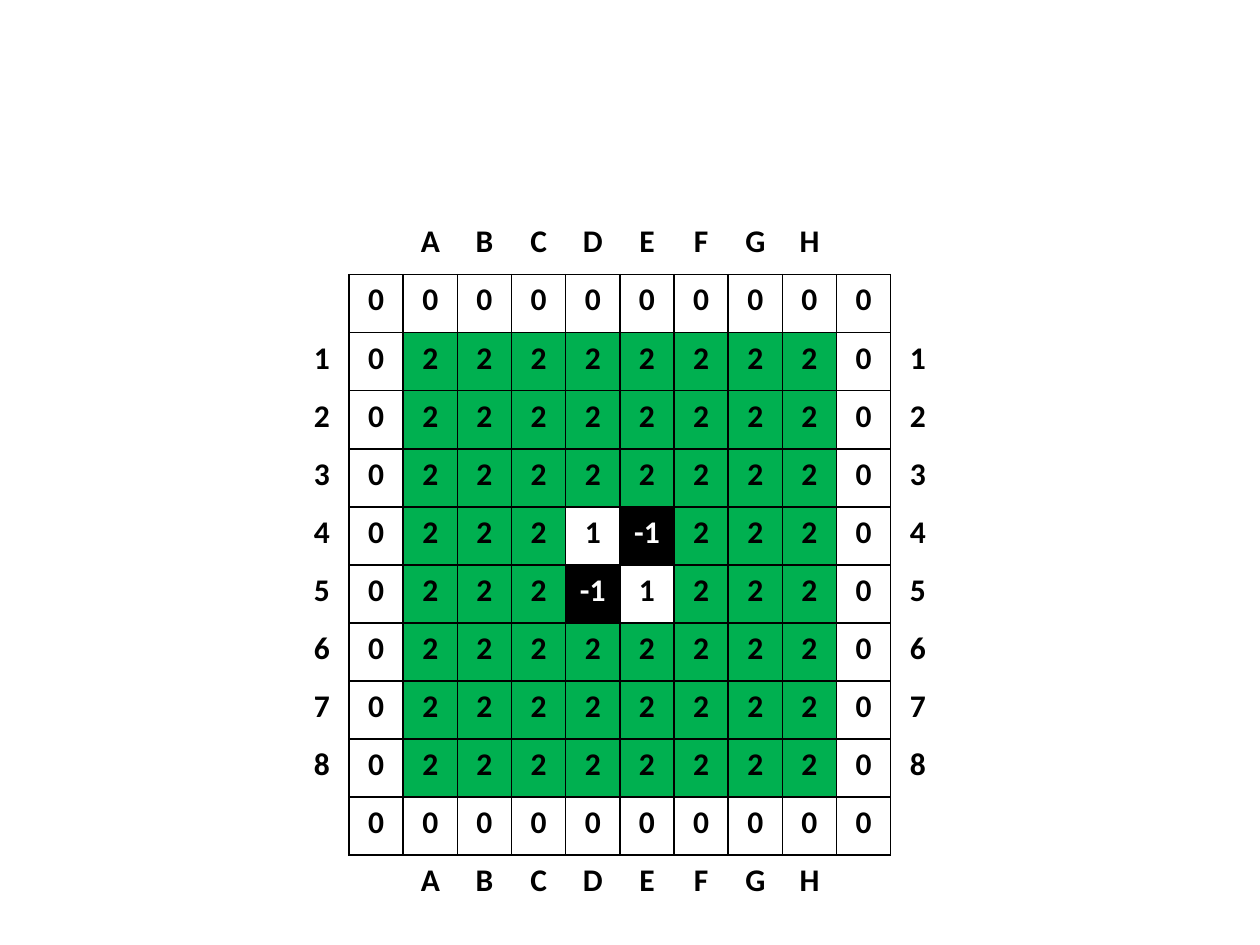
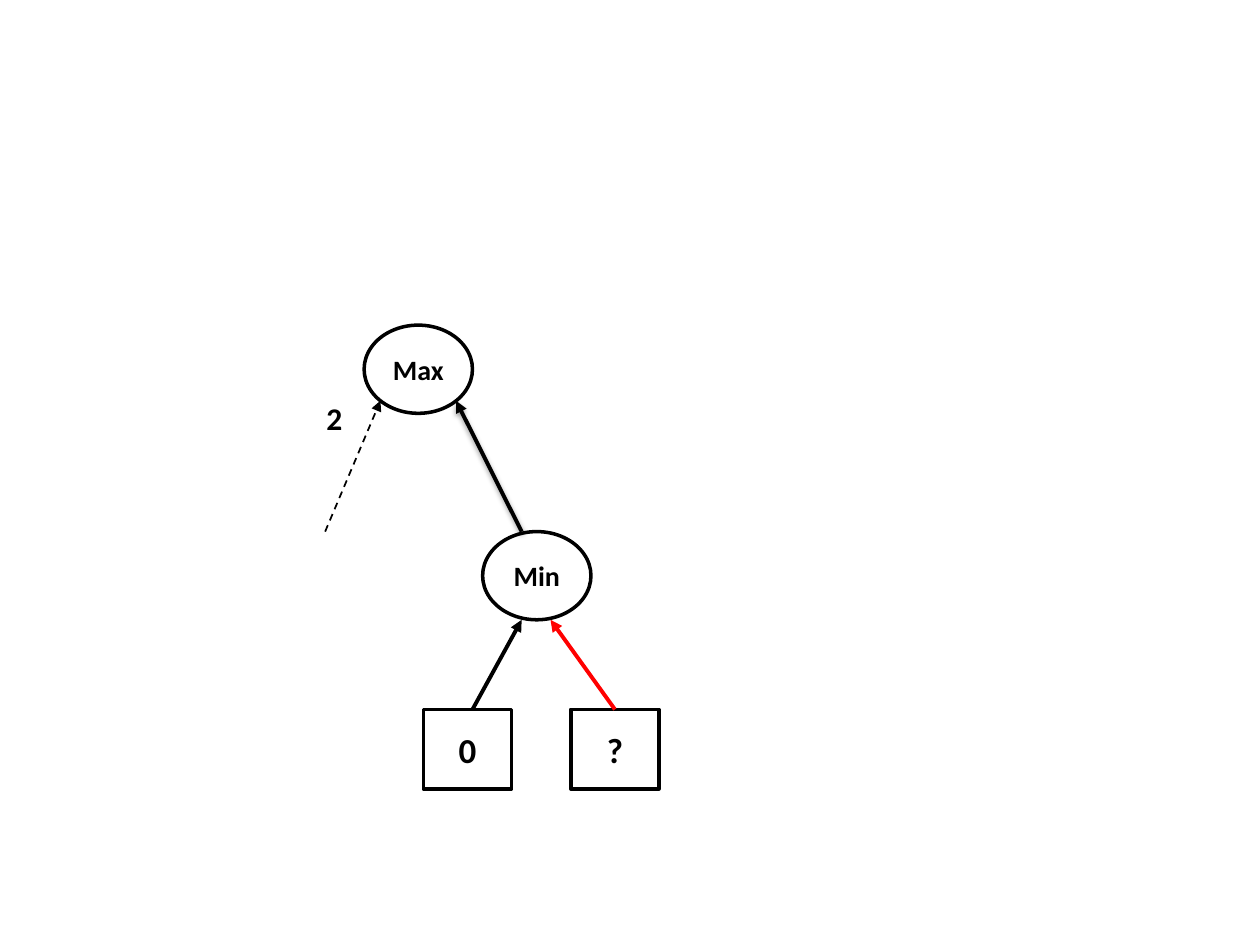
from dataclasses import dataclass

import lxml.etree
import pptx
import pptx.dml.color
import pptx.enum.dml
import pptx.enum.shapes
import pptx.enum.text
import pptx.oxml.ns
import pptx.util

Pt = pptx.util.Pt
qn = pptx.oxml.ns.qn
SHAPES = pptx.enum.shapes.MSO_SHAPE


@dataclass(frozen=True)
class Theme:
    font: str = "Calibri"
    black: str = "000000"
    white: str = "FFFFFF"
    green: str = "00B050"
    red: str = "FF0000"
    small: float = 16
    body: float = 18
    large: float = 20
    thin: float = 1
    frame: float = 2
    thick: float = 2.25


THEME = Theme()
FILES = "ABCDEFGH"
SIZE = len(FILES) + 4  # board, ring of zeros, ring of labels
LAST = SIZE - 1
CELL_W, CELL_H = 30.96, 33.18
DISCS = {(5, 5): "1", (5, 6): "-1", (6, 5): "-1", (6, 6): "1"}
NODE_W, NODE_H = 61.9, 50.4
LEAF_W, LEAF_H = 50.4, 45.4
MAX_X, MAX_Y = 208.1, 185.8
MIN_X, MIN_Y = 275.8, 303.8
LEAF_Y = 405.4


def paint(color):
    return pptx.dml.color.RGBColor.from_string(color)


def write(frame, text, size, color=THEME.black):
    """Put one bold, centred line of text into a frame."""
    frame.text = text
    line = frame.paragraphs[0]
    line.alignment = pptx.enum.text.PP_ALIGN.CENTER
    line.font.name = THEME.font
    line.font.size = Pt(size)
    line.font.bold = True
    line.font.color.rgb = paint(color)


def add_node(text, xml_parent):
    return lxml.etree.SubElement(xml_parent, qn(text))


def within(row, col):
    """Tell whether a cell is on the board or its ring of zeros."""
    return 0 < row < LAST and 0 < col < LAST


def label(row, col):
    """Return the text and the fill of one cell."""
    if within(row, col):
        if row in (1, LAST - 1) or col in (1, LAST - 1):
            return "0", THEME.white
        text = DISCS.get((row, col), "2")
        fills = {"1": THEME.white, "-1": THEME.black, "2": THEME.green}
        return text, fills[text]
    if 2 <= col <= LAST - 2:
        return FILES[col - 2], THEME.white
    if 2 <= row <= LAST - 2:
        return str(row - 1), THEME.white
    return "", THEME.white


def set_edges(cell, row, col):
    """Draw a side if the cell or its neighbour there is within the ring."""
    props = cell._tc.get_or_add_tcPr()
    steps = {"a:lnL": (0, -1), "a:lnR": (0, 1), "a:lnT": (-1, 0), "a:lnB": (1, 0)}
    for tag, (down, right) in steps.items():
        edge = add_node(tag, props)
        edge.set("w", str(Pt(THEME.thin)))
        if within(row, col) or within(row + down, col + right):
            fill = add_node("a:solidFill", edge)
            add_node("a:srgbClr", fill).set("val", THEME.black)
        else:
            add_node("a:noFill", edge)


def add_board(slide, left, top):
    table = slide.shapes.add_table(
        SIZE, SIZE, Pt(left), Pt(top), Pt(SIZE * CELL_W), Pt(SIZE * CELL_H)
    ).table
    table.first_row = table.horz_banding = False
    for column in table.columns:
        column.width = Pt(CELL_W)
    for row, line in enumerate(table.rows):
        line.height = Pt(CELL_H)
        for col, cell in enumerate(line.cells):
            text, fill = label(row, col)
            set_edges(cell, row, col)
            cell.fill.solid()
            cell.fill.fore_color.rgb = paint(fill)
            color = THEME.white if fill == THEME.black else THEME.black
            write(cell.text_frame, text, THEME.body, color)


def add_box(slide, kind, text, bounds, size, fill=None):
    shape = slide.shapes.add_shape(kind, *map(Pt, bounds))
    shape.shadow.inherit = False
    if fill:
        shape.fill.solid()
        shape.fill.fore_color.rgb = paint(fill)
    else:
        shape.fill.background()
    shape.line.color.rgb = paint(THEME.black)
    shape.line.width = Pt(THEME.frame)
    frame = shape.text_frame
    frame.margin_left = frame.margin_right = 0
    frame.vertical_anchor = pptx.enum.text.MSO_ANCHOR.MIDDLE
    write(frame, text, size)
    return shape


def add_shade(effects):
    """Add a soft shadow straight below."""
    shade = add_node("a:outerShdw", effects)
    for name, value in (("blurRad", Pt(3.1)), ("dist", Pt(1.6)), ("dir", 5400000)):
        shade.set(name, str(value))
    shade.set("rotWithShape", "0")
    tint = add_node("a:srgbClr", shade)
    tint.set("val", THEME.black)
    add_node("a:alpha", tint).set("val", "38000")


def add_arrow(slide, start, end, color=THEME.black, width=THEME.thick,
              dashed=False, shaded=False):
    arrow = slide.shapes.add_connector(
        pptx.enum.shapes.MSO_CONNECTOR.STRAIGHT, *map(Pt, start + end)
    )
    arrow.line.color.rgb = paint(color)
    arrow.line.width = Pt(width)
    if dashed:
        arrow.line.dash_style = pptx.enum.dml.MSO_LINE.DASH
    props = arrow.element.spPr
    add_node("a:tailEnd", props.find(qn("a:ln"))).set("type", "triangle")
    effects = add_node("a:effectLst", props)
    if shaded:
        add_shade(effects)
    return arrow


def add_note(slide, text, bounds):
    frame = slide.shapes.add_textbox(*map(Pt, bounds)).text_frame
    frame.word_wrap = True
    frame.auto_size = pptx.enum.text.MSO_AUTO_SIZE.SHAPE_TO_FIT_TEXT
    write(frame, text, THEME.body)


def add_tree(slide):
    for text, left, top in (("Max", MAX_X, MAX_Y), ("Min", MIN_X, MIN_Y)):
        add_box(slide, SHAPES.OVAL, text, (left, top, NODE_W, NODE_H),
                THEME.small, THEME.white)
    join_y = 229
    add_arrow(slide, (298.1, MIN_Y), (260.6, join_y), shaded=True)
    add_arrow(slide, (185.8, MIN_Y), (217.4, join_y), width=THEME.thin, dashed=True)
    leaves = [
        add_box(slide, SHAPES.RECTANGLE, text, (left, LEAF_Y, LEAF_W, LEAF_H),
                THEME.large)
        for text, left in (("0", 241.9), ("?", 326.2))
    ]
    base = MIN_Y + NODE_H
    add_arrow(slide, (270, LEAF_Y), (298.1, base))
    cut = add_arrow(slide, (351.4, LEAF_Y), (314.6, base), THEME.red)
    cut.begin_connect(leaves[1], 0)
    add_note(slide, "2", (174.2, 224.6, 33.8, 28.8))


def main():
    deck = pptx.Presentation()
    deck.slide_width, deck.slide_height = Pt(720), Pt(540)
    blank = deck.slide_layouts[6]
    add_board(deck.slides.add_slide(blank), 168.5, 123.8)
    add_tree(deck.slides.add_slide(blank))
    deck.save("out.pptx")


if __name__ == "__main__":
    main()
